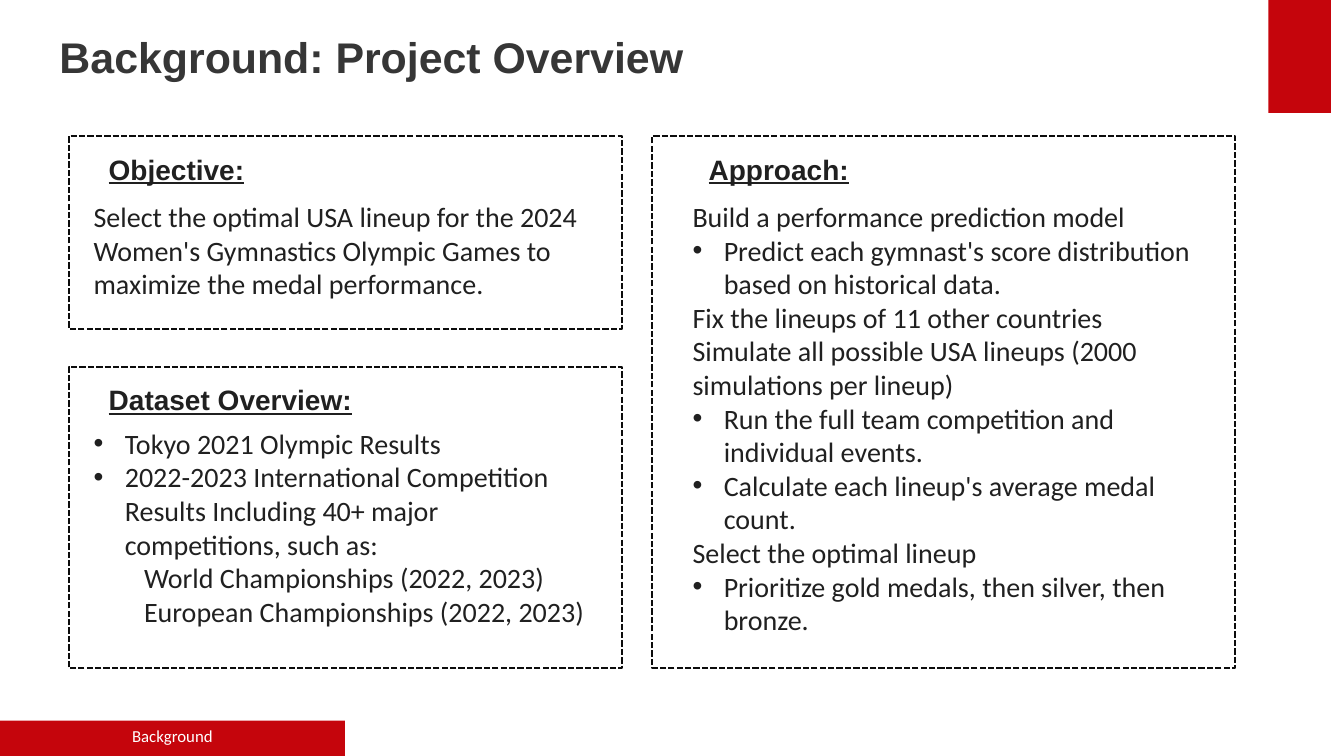
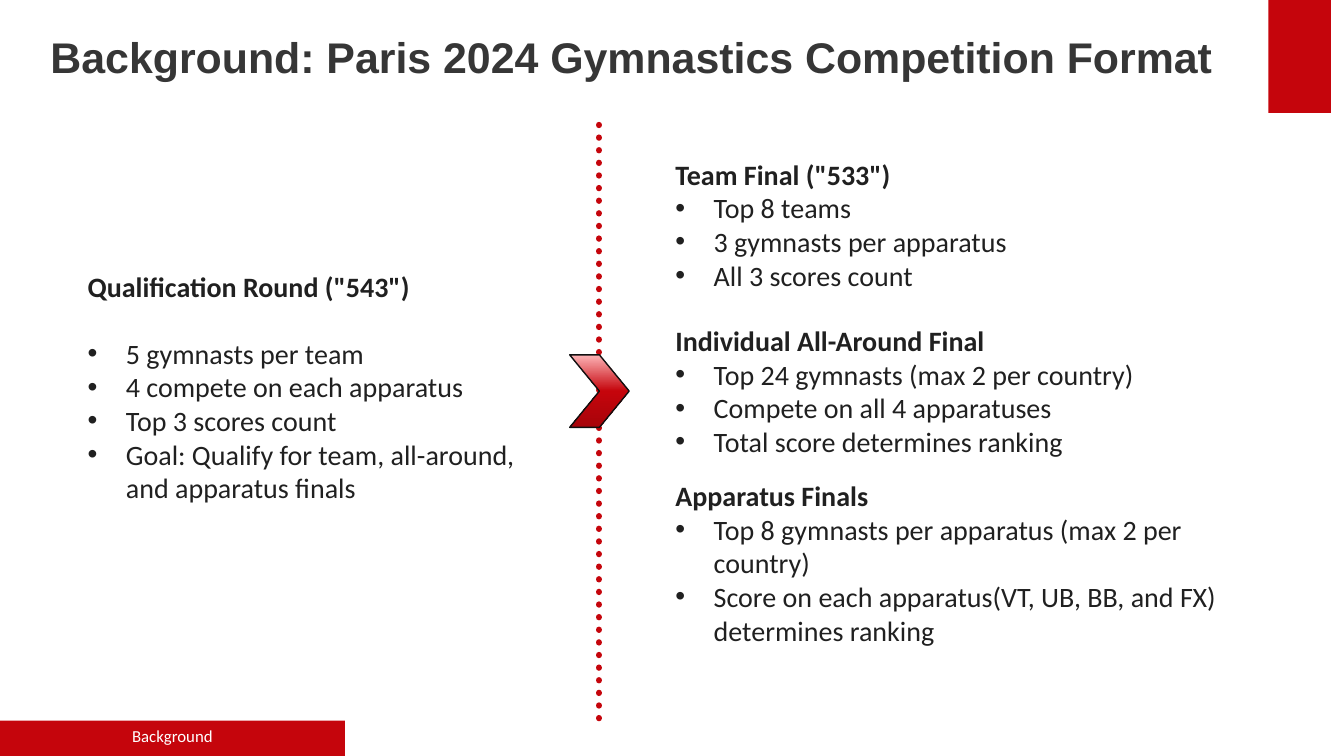
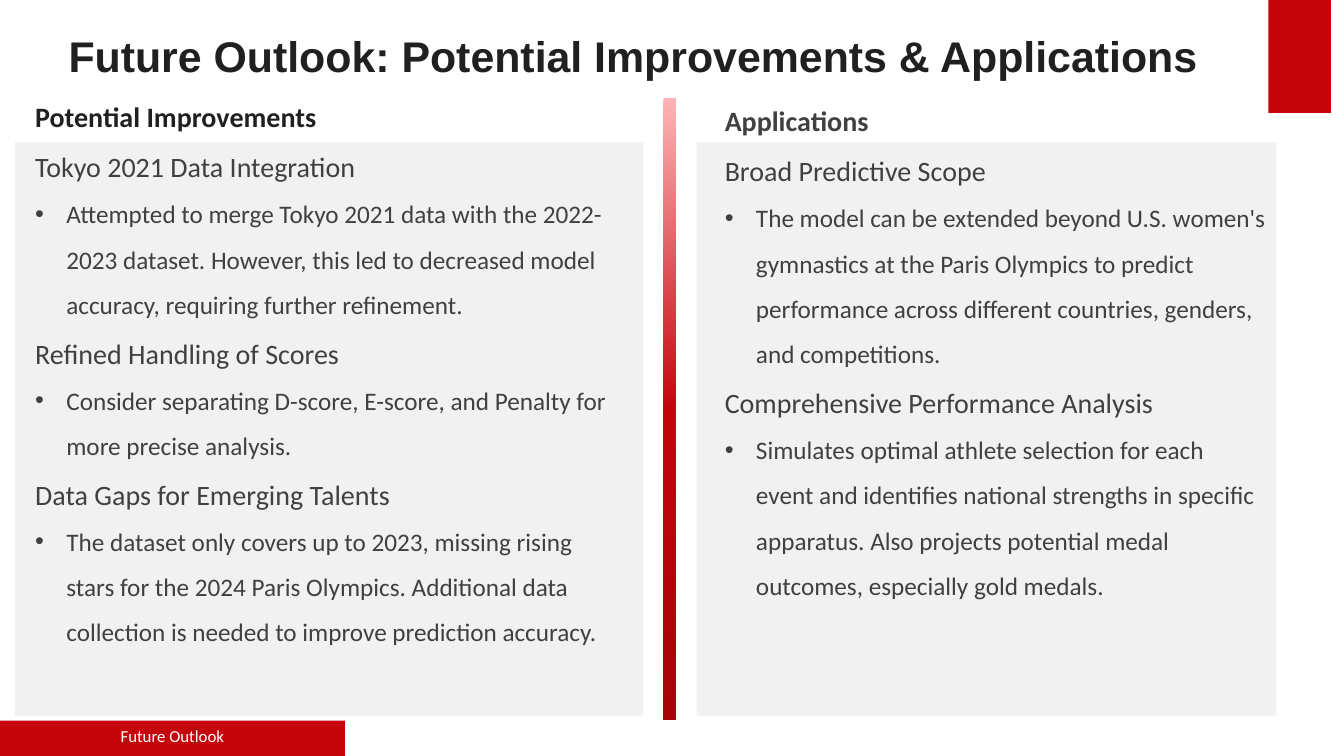
from copy import deepcopy
from dataclasses import dataclass, replace

from lxml.etree import SubElement
from pptx import Presentation
from pptx.dml.color import RGBColor
from pptx.enum.dml import MSO_LINE
from pptx.enum.shapes import MSO_CONNECTOR, MSO_SHAPE
from pptx.enum.text import MSO_ANCHOR, PP_ALIGN
from pptx.oxml.ns import qn
from pptx.util import Inches, Pt

RED = "C5050C"
INK = "202020"
GREY = "404040"
TITLE_GREY = "363636"
WHITE = "FFFFFF"
PANEL_GREY = "EEEEEE"
RED_GRADIENT = [(0, "FDB4B7"), (0.5, RED), (1, "A7040A")]
PANEL_TOP = 1.41
PANEL_HEIGHT = 5.69


@dataclass(frozen=True)
class Style:
    size: float = 20
    color: str = INK
    font: str = "Calibri"
    bold: bool = False
    underline: bool = False
    hang: float = 0
    first_indent: float = 0
    spacing: float = 1
    after: float = 0
    align: PP_ALIGN = PP_ALIGN.LEFT


PLAIN = Style()
BULLET = Style(hang=0.31)
INDENTED = Style(first_indent=0.5)
CARD_HEADING = Style(font="Arial", bold=True, underline=True)
ROUND_HEADING = Style(bold=True)
ROUND_BULLET = Style(hang=0.38)
TOPIC = Style(color=GREY, spacing=1.5)
TOPIC_BULLET = replace(TOPIC, size=18, hang=0.31)
COLUMN_HEADING = replace(TOPIC, bold=True)
TITLE = Style(size=30.6, color=TITLE_GREY, font="Arial", bold=True, spacing=0.9)
FOOTER = Style(size=12, color=WHITE, spacing=0.9, align=PP_ALIGN.CENTER)


def rgb(value):
    return RGBColor.from_string(value)


def set_indent(paragraph, style):
    properties = paragraph._p.get_or_add_pPr()
    if style.hang:
        properties.set("marL", str(Inches(style.hang)))
        properties.set("indent", str(-Inches(style.hang)))
        SubElement(properties, qn("a:buFont")).set("typeface", "Arial")
        SubElement(properties, qn("a:buChar")).set("char", "•")
    elif style.first_indent:
        properties.set("indent", str(Inches(style.first_indent)))


def write(frame, lines):
    for index, (style, text) in enumerate(lines):
        paragraph = frame.add_paragraph() if index else frame.paragraphs[0]
        paragraph.text = text
        set_indent(paragraph, style)
        paragraph.alignment = style.align
        paragraph.line_spacing = style.spacing
        paragraph.space_after = Pt(style.after)
        for span in paragraph.runs:
            span.font.name = style.font
            span.font.size = Pt(style.size)
            span.font.bold = style.bold
            span.font.underline = style.underline
            span.font.color.rgb = rgb(style.color)


def add_text(page, left, top, width, height, lines):
    box = page.shapes.add_textbox(Inches(left), Inches(top), Inches(width), Inches(height))
    box.text_frame.word_wrap = True
    write(box.text_frame, lines)
    return box


def add_block(page, left, top, width, height, fill=None, kind=MSO_SHAPE.RECTANGLE):
    block = page.shapes.add_shape(kind, Inches(left), Inches(top), Inches(width), Inches(height))
    block.shadow.inherit = False
    block.line.fill.background()
    if fill:
        block.fill.solid()
        block.fill.fore_color.rgb = rgb(fill)
    else:
        block.fill.background()
    return block


def fill_with_gradient(block):
    block.fill.gradient()
    block.fill.gradient_angle = 270
    stops = block._element.spPr.find(".//" + qn("a:gsLst"))
    stops.append(deepcopy(stops[-1]))
    for stop, (position, color) in zip(block.fill.gradient_stops, RED_GRADIENT):
        stop.position = position
        stop.color.rgb = rgb(color)


def add_card(page, left, top, width, height, heading, heading_left):
    card = add_block(page, left, top, width, height)
    card.line.color.rgb = rgb("0C0C0C")
    card.line.width = Pt(1.5)
    card.line.dash_style = MSO_LINE.SQUARE_DOT
    add_text(page, heading_left, top + 0.11, 5.03, 0.44, [(CARD_HEADING, heading)])


def add_panel(page, left, width):
    panel = add_block(page, left, PANEL_TOP, width, PANEL_HEIGHT, PANEL_GREY)
    color = panel._element.spPr.find(qn("a:solidFill"))[0]
    SubElement(color, qn("a:alpha")).set("val", "80000")


def add_dotted_line(page, x, top, bottom):
    line = page.shapes.add_connector(
        MSO_CONNECTOR.STRAIGHT, Inches(x), Inches(top), Inches(x), Inches(bottom)
    )
    line.line.color.rgb = rgb(RED)
    line.line.width = Pt(4.5)
    line.line.dash_style = MSO_LINE.ROUND_DOT
    properties = line._element.spPr
    properties.find(qn("a:ln")).set("cap", "rnd")
    SubElement(properties, qn("a:effectLst"))


def add_page(deck, title, section, left, width, top=0.28, title_style=TITLE):
    page = deck.slides.add_slide(deck.slide_layouts[6])
    add_block(page, 12.58, 0, 0.62, 1.12, RED)
    frame = add_text(page, left, top, width, 0.54, [(title_style, title)]).text_frame
    frame.vertical_anchor = MSO_ANCHOR.BOTTOM
    frame.margin_left = frame.margin_bottom = 0
    footer = add_block(page, 0, 7.15, 3.42, 0.35, RED).text_frame
    footer.word_wrap = False
    footer.vertical_anchor = MSO_ANCHOR.TOP
    footer.margin_left = footer.margin_right = Inches(0.3)
    footer.margin_top = footer.margin_bottom = Inches(0.07)
    write(footer, [(FOOTER, section)])
    return page


def build_overview(deck):
    page = add_page(deck, "Background: Project Overview", "Background", 0.59, 11.67)
    add_card(page, 0.68, 1.35, 5.49, 1.91, "Objective:", 0.98)
    add_text(page, 0.83, 1.93, 5.34, 1.11, [
        (PLAIN, "Select the optimal USA lineup for the 2024 Women's Gymnastics "
                "Olympic Games to maximize the medal performance."),
    ])
    add_card(page, 0.68, 3.64, 5.49, 2.99, "Dataset Overview:", 0.98)
    add_text(page, 0.83, 4.18, 5.19, 2.23, [
        (BULLET, "Tokyo 2021 Olympic Results"),
        (BULLET, "2022-2023 International Competition Results Including 40+ major "
                 "competitions, such as:"),
        (INDENTED, "World Championships (2022, 2023)"),
        (INDENTED, "European Championships (2022, 2023)"),
    ])
    add_card(page, 6.47, 1.35, 5.78, 5.28, "Approach:", 6.93)
    add_text(page, 6.77, 1.93, 5.19, 4.4, [
        (PLAIN, "Build a performance prediction model"),
        (BULLET, "Predict each gymnast's score distribution based on historical data."),
        (PLAIN, "Fix the lineups of 11 other countries"),
        (PLAIN, "Simulate all possible USA lineups (2000 simulations per lineup)"),
        (BULLET, "Run the full team competition and individual events."),
        (BULLET, "Calculate each lineup's average medal count."),
        (PLAIN, "Select the optimal lineup"),
        (BULLET, "Prioritize gold medals, then silver, then bronze."),
    ])


def add_round(page, left, top, width, height, heading, points, gap=0):
    lines = [(replace(ROUND_HEADING, after=gap), heading)]
    lines += [(ROUND_BULLET, point) for point in points]
    add_text(page, left, top, width, height, lines)


def build_format(deck):
    page = add_page(deck, "Background: Paris 2024 Gymnastics Competition Format",
                    "Background", 0.5, 11.89)
    add_round(page, 0.77, 2.62, 4.51, 2.95, 'Qualification Round ("543")', [
        "5 gymnasts per team",
        "4 compete on each apparatus",
        "Top 3 scores count",
        "Goal: Qualify for team, all-around, and apparatus finals",
    ], gap=24)
    add_round(page, 6.6, 1.51, 5.79, 1.45, 'Team Final ("533")', [
        "Top 8 teams",
        "3 gymnasts per apparatus",
        "All 3 scores count",
    ])
    add_round(page, 6.6, 3.16, 5.18, 1.61, "Individual All-Around Final", [
        "Top 24 gymnasts (max 2 per country)",
        "Compete on all 4 apparatuses",
        "Total score determines ranking",
    ])
    add_round(page, 6.6, 4.7, 5.85, 2.12, "Apparatus Finals", [
        "Top 8 gymnasts per apparatus (max 2 per country)",
        "Score on each apparatus(VT, UB, BB, and FX) determines ranking",
    ])
    add_dotted_line(page, 5.94, 1.24, 7.15)
    chevron = add_block(page, 5.65, 3.52, 0.59, 0.72, kind=MSO_SHAPE.CHEVRON)
    fill_with_gradient(chevron)
    chevron.line.color.rgb = rgb("101010")
    chevron.line.width = Pt(1)


def build_outlook(deck):
    page = add_page(deck, "Future Outlook: Potential Improvements & Applications",
                    "Future Outlook", 0.68, 11.67, 0.27, replace(TITLE, color=INK))
    add_panel(page, 0.15, 6.23)
    add_panel(page, 6.91, 5.75)
    fill_with_gradient(add_block(page, 6.58, 0.97, 0.13, 6.17))
    add_text(page, 0.25, 0.77, 6.05, 5.8, [
        (replace(COLUMN_HEADING, color=INK), "Potential Improvements"),
        (TOPIC, "Tokyo 2021 Data Integration"),
        (TOPIC_BULLET, "Attempted to merge Tokyo 2021 data with the 2022-2023 dataset. "
                       "However, this led to decreased model accuracy, requiring further "
                       "refinement."),
        (TOPIC, "Refined Handling of Scores"),
        (TOPIC_BULLET, "Consider separating D-score, E-score, and Penalty for more "
                       "precise analysis."),
        (TOPIC, "Data Gaps for Emerging Talents"),
        (TOPIC_BULLET, "The dataset only covers up to 2023, missing rising stars for the "
                       "2024 Paris Olympics. Additional data collection is needed to "
                       "improve prediction accuracy."),
    ])
    add_text(page, 7.09, 0.81, 5.57, 6.34, [
        (COLUMN_HEADING, "Applications"),
        (TOPIC, "Broad Predictive Scope"),
        (TOPIC_BULLET, "The model can be extended beyond U.S. women's gymnastics at the "
                       "Paris Olympics to predict performance across different countries, "
                       "genders, and competitions."),
        (TOPIC, "Comprehensive Performance Analysis"),
        (TOPIC_BULLET, "Simulates optimal athlete selection for each event and identifies "
                       "national strengths in specific apparatus. Also projects potential "
                       "medal outcomes, especially gold medals."),
    ])


def main():
    deck = Presentation()
    deck.slide_width = Inches(13.33)
    deck.slide_height = Inches(7.5)
    build_overview(deck)
    build_format(deck)
    build_outlook(deck)
    deck.save("out.pptx")


if __name__ == "__main__":
    main()
